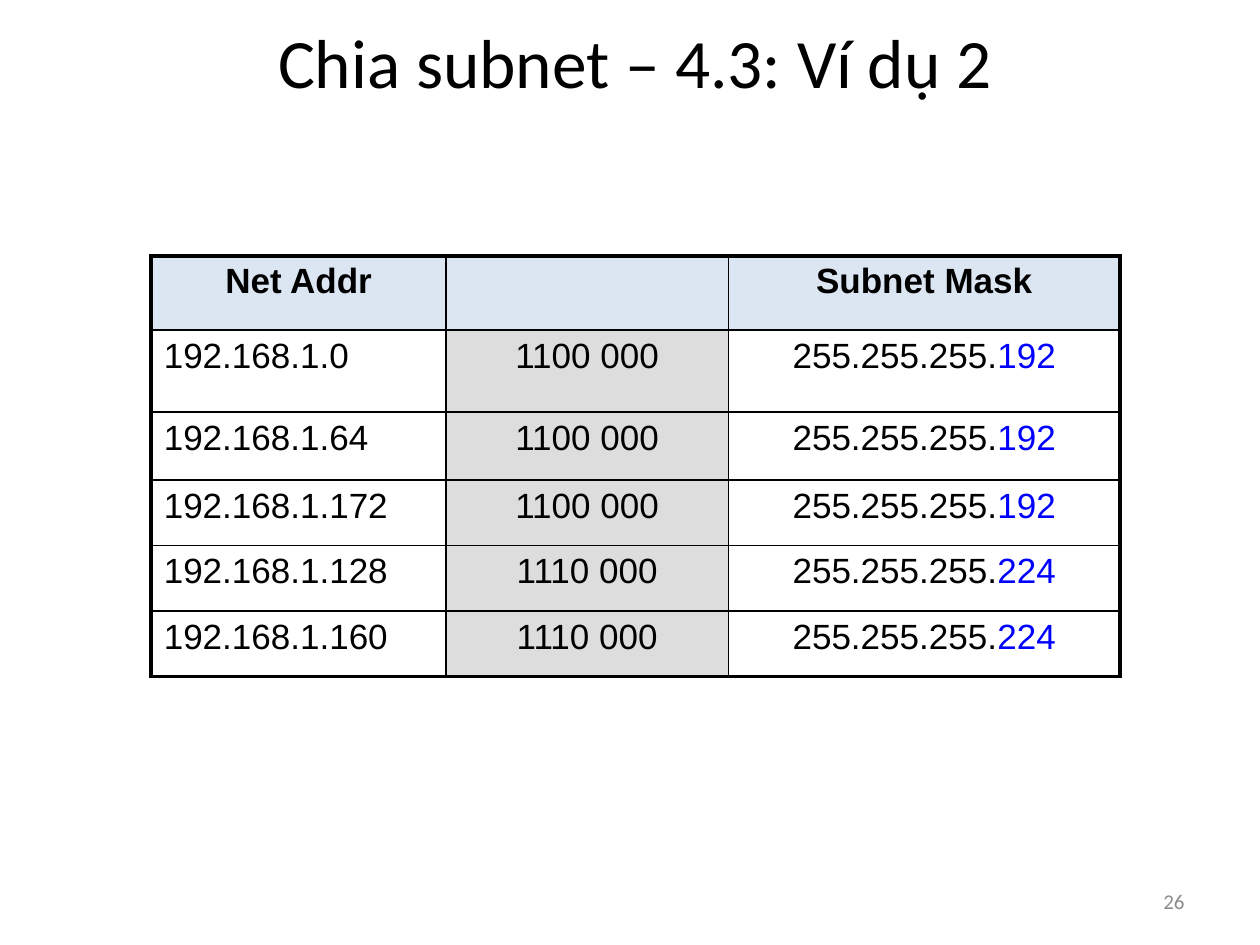
from lxml.etree import SubElement
from pptx import Presentation
from pptx.dml.color import RGBColor
from pptx.enum.text import MSO_ANCHOR, PP_ALIGN
from pptx.oxml.ns import qn
from pptx.util import Pt

BLACK = RGBColor(0x00, 0x00, 0x00)
BLUE = RGBColor(0x00, 0x00, 0xFF)
GRAY = RGBColor(0x8C, 0x8C, 0x8C)
HEADER_FILL = RGBColor(0xDC, 0xE6, 0xF2)
BITS_FILL = RGBColor(0xDD, 0xDD, 0xDD)

TITLE = {"name": "Calibri", "size": Pt(39.6)}
NUMBER = {"name": "Calibri", "size": Pt(12)}
BODY = {"name": "Arial", "size": Pt(20), "bold": False}
HEADER = {**BODY, "bold": True}

COL_WIDTHS = [168.5, 161.3, 223.9]
ROW_HEIGHTS = [42.5, 46.8, 38.9, 37.4, 37.4, 37.4]
SUBNETS = [
    ("192.168.1.0", "1100 000", "192"),
    ("192.168.1.64", "1100 000", "192"),
    ("192.168.1.172", "1100 000", "192"),
    ("192.168.1.128", "1110 000", "224"),
    ("192.168.1.160", "1110 000", "224"),
]


def add_run(p, text, style, color=BLACK):
    r = p.add_run()
    r.text = text
    for key, value in style.items():
        setattr(r.font, key, value)
    r.font.color.rgb = color


def add_text(s, box, text, style, align, color=BLACK):
    tf = s.shapes.add_textbox(*map(Pt, box)).text_frame
    tf.word_wrap = True
    tf.vertical_anchor = MSO_ANCHOR.MIDDLE
    p = tf.paragraphs[0]
    p.alignment = align
    add_run(p, text, style, color)


def set_borders(cell, widths):
    tc_pr = cell._tc.get_or_add_tcPr()
    for side, width in widths.items():
        ln = SubElement(tc_pr, qn(f"a:ln{side}"), w=str(Pt(width)))
        fill = SubElement(ln, qn("a:solidFill"))
        SubElement(fill, qn("a:srgbClr"), val=str(BLACK))


def fill_cell(cell, color):
    if color is None:
        cell.fill.background()
    else:
        cell.fill.solid()
        cell.fill.fore_color.rgb = color


def write_cell(cell, parts, style, align):
    p = cell.text_frame.paragraphs[0]
    p.alignment = align
    for text, color in parts:
        add_run(p, text, style, color)


def add_subnet_table(s):
    rows = [[[("Net Addr", BLACK)], [], [("Subnet Mask", BLACK)]]]
    for address, bits, last in SUBNETS:
        mask = [("255.255.255.", BLACK), (last, BLUE)]
        rows.append([[(address, BLACK)], [(bits, BLACK)], mask])

    box = (86.4, 146.2, sum(COL_WIDTHS), sum(ROW_HEIGHTS))
    table = s.shapes.add_table(len(rows), len(COL_WIDTHS), *map(Pt, box)).table
    for col, width in zip(table.columns, COL_WIDTHS):
        col.width = Pt(width)
    for row, height in zip(table.rows, ROW_HEIGHTS):
        row.height = Pt(height)

    last_row, last_col = len(rows) - 1, len(COL_WIDTHS) - 1
    for i, row in enumerate(rows):
        for j, parts in enumerate(row):
            cell = table.cell(i, j)
            outer = {"L": j == 0, "R": j == last_col, "T": i == 0, "B": i == last_row}
            set_borders(cell, {side: 2.25 if edge else 1 for side, edge in outer.items()})
            fill_cell(cell, HEADER_FILL if i == 0 else BITS_FILL if j == 1 else None)
            align = PP_ALIGN.LEFT if i and j == 0 else PP_ALIGN.CENTER
            write_cell(cell, parts, BODY if i else HEADER, align)


def main():
    prs = Presentation()
    prs.slide_width, prs.slide_height = Pt(720), Pt(540)
    s = prs.slides.add_slide(prs.slide_layouts[6])
    add_text(s, (18, 9.4, 689.8, 50.4), "Chia subnet – 4.3: Ví dụ 2", TITLE, PP_ALIGN.CENTER)
    add_subnet_table(s)
    add_text(s, (516.2, 500.4, 167.8, 28.8), "26", NUMBER, PP_ALIGN.RIGHT, GRAY)
    prs.save("out.pptx")


main()
